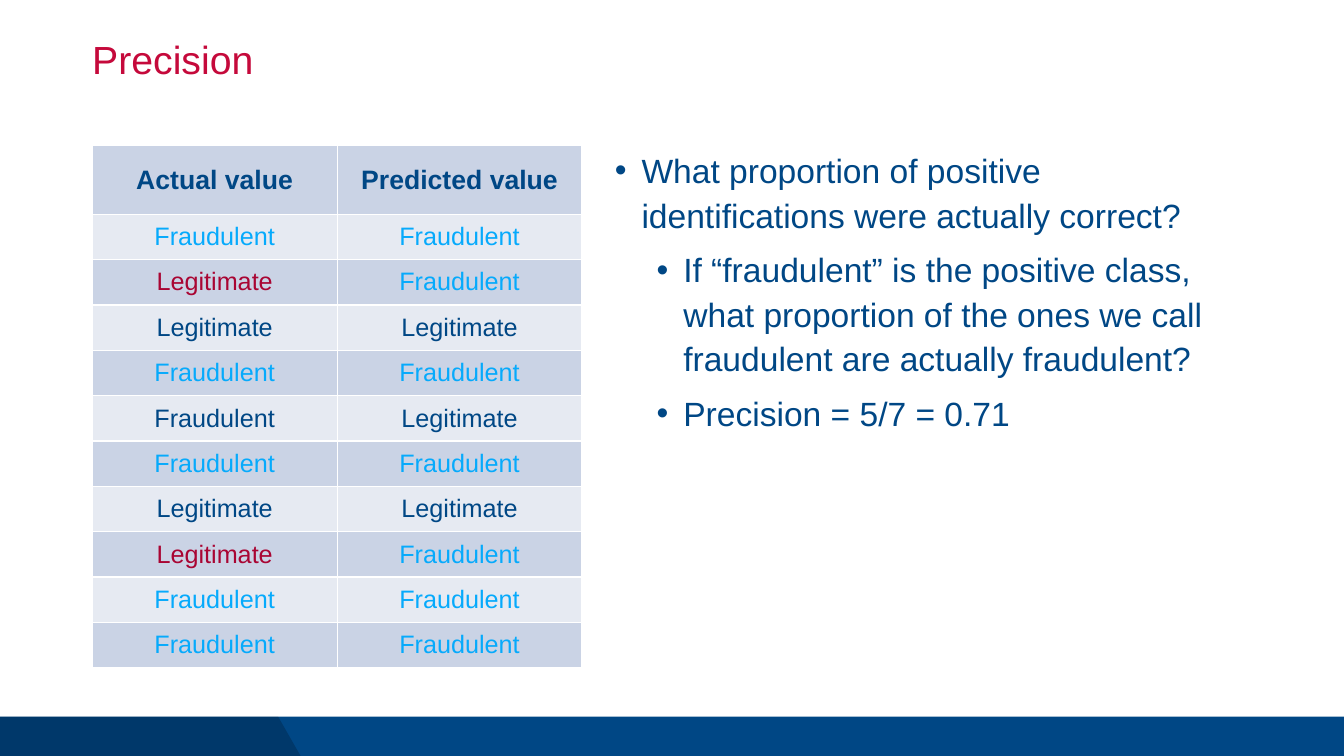
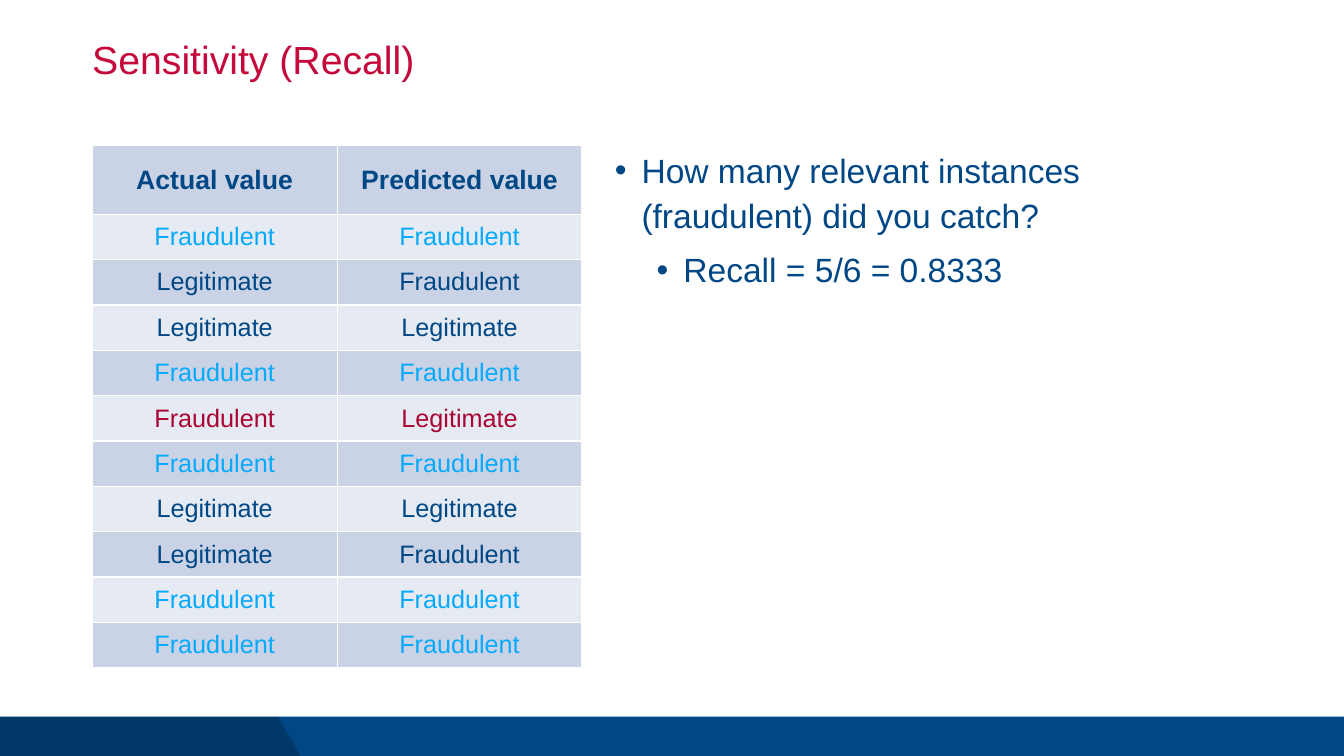
from dataclasses import dataclass

from pptx import Presentation
from pptx.dml.color import RGBColor
from pptx.enum.shapes import MSO_SHAPE
from pptx.enum.text import MSO_ANCHOR, MSO_AUTO_SIZE, PP_ALIGN
from pptx.oxml.ns import qn
from pptx.util import Inches, Pt
from lxml.etree import SubElement

NAVY = "004785"
CRIMSON = "C5093B"
HIT = "06AAFC"
MISS = "A90533"
BLACK = "000000"
WHITE = "FFFFFF"
ROW_DARK = "CAD3E5"
ROW_LIGHT = "E6EAF2"
FONT = "Arial"

SLIDE_WIDTH, SLIDE_HEIGHT = 26.67, 15
FOOTER_TOP, FOOTER_HEIGHT = 14.22, 0.84
MARGIN_LEFT = 1.83
COLUMN_WIDTH = 4.86
HEADER_HEIGHT, ROW_HEIGHT = 1.36, 0.9

FRAUD = "Fraudulent"
LEGIT = "Legitimate"
HEADERS = ("Actual value", "Predicted value")
OUTCOMES = [
    (FRAUD, FRAUD),
    (LEGIT, FRAUD),
    (LEGIT, LEGIT),
    (FRAUD, FRAUD),
    (FRAUD, LEGIT),
    (FRAUD, FRAUD),
    (LEGIT, LEGIT),
    (LEGIT, FRAUD),
    (FRAUD, FRAUD),
    (FRAUD, FRAUD),
]


@dataclass(frozen=True)
class Bullet:
    text: str
    level: int = 1


@dataclass(frozen=True)
class MetricSlide:
    title: str
    bullets: list[Bullet]
    highlights: dict[tuple[str, str], tuple[str, str]]


METRICS = [
    MetricSlide(
        "Precision",
        [
            Bullet("What proportion of positive identifications were actually correct?", 0),
            Bullet("If “fraudulent” is the positive class, what proportion of the ones "
                   "we call fraudulent are actually fraudulent?"),
            Bullet("Precision = 5/7 = 0.71"),
        ],
        {(FRAUD, FRAUD): (HIT, HIT), (LEGIT, FRAUD): (MISS, HIT)},
    ),
    MetricSlide(
        "Sensitivity (Recall)",
        [
            Bullet("How many relevant instances (fraudulent) did you catch?", 0),
            Bullet("Recall = 5/6 = 0.8333"),
        ],
        {(FRAUD, FRAUD): (HIT, HIT), (FRAUD, LEGIT): (MISS, MISS)},
    ),
]


def rgb(color: str) -> RGBColor:
    return RGBColor.from_string(color)


def format_runs(paragraph, size: float, color: str, bold: bool = False) -> None:
    for run in paragraph.runs:
        run.font.name = FONT
        run.font.size = Pt(size)
        run.font.bold = bold
        run.font.color.rgb = rgb(color)


def paint(shape, color: str) -> None:
    shape.shadow.inherit = False
    shape.fill.solid()
    shape.fill.fore_color.rgb = rgb(color)
    shape.line.fill.background()


def place(placeholder, left: float, top: float, width: float, height: float) -> None:
    placeholder.left, placeholder.top = Inches(left), Inches(top)
    placeholder.width, placeholder.height = Inches(width), Inches(height)
    frame = placeholder.text_frame
    frame.margin_left = frame.margin_right = frame.margin_top = frame.margin_bottom = 0
    frame.vertical_anchor = MSO_ANCHOR.TOP
    frame.auto_size = MSO_AUTO_SIZE.NONE
    frame.word_wrap = True


def add_footer(slide) -> None:
    band = slide.shapes.add_shape(
        MSO_SHAPE.RECTANGLE, 0, Inches(FOOTER_TOP), Inches(SLIDE_WIDTH), Inches(FOOTER_HEIGHT))
    paint(band, NAVY)
    bottom = FOOTER_TOP + FOOTER_HEIGHT
    builder = slide.shapes.build_freeform(0, Inches(FOOTER_TOP))
    builder.add_line_segments([
        (Inches(5.52), Inches(FOOTER_TOP)),
        (Inches(6), Inches(bottom)),
        (0, Inches(bottom)),
    ])
    wedge = builder.convert_to_shape()
    paint(wedge, BLACK)
    fill_color = wedge._element.spPr.find(qn("a:solidFill")).find(qn("a:srgbClr"))
    SubElement(fill_color, qn("a:alpha"), val="20000")


def add_title(slide, text: str) -> None:
    title = slide.shapes.title
    place(title, MARGIN_LEFT, 0.8, 23, 1.05)
    title.text_frame.text = text
    paragraph = title.text_frame.paragraphs[0]
    paragraph.alignment = PP_ALIGN.LEFT
    paragraph.line_spacing = 0.9
    format_runs(paragraph, 56, CRIMSON)


def add_bullets(slide, bullets: list[Bullet]) -> None:
    body = slide.placeholders[1]
    place(body, 12.2, 2.9, 12.63, 10.36)
    frame = body.text_frame
    frame.text = "\n".join(bullet.text for bullet in bullets)
    for paragraph, bullet in zip(frame.paragraphs, bullets):
        paragraph.level = bullet.level
        paragraph.line_spacing = 1.1
        paragraph.space_before = Pt(15 if bullet.level else 30)
        properties = paragraph._p.get_or_add_pPr()
        properties.set("marL", str(Inches(1.36 if bullet.level else 0.53)))
        properties.set("indent", str(Inches(-0.53)))
        SubElement(properties, qn("a:buChar"), char="•")
        format_runs(paragraph, 48, NAVY)


def add_borders(cell) -> None:
    properties = cell._tc.get_or_add_tcPr()
    for side in ("lnL", "lnR", "lnT", "lnB"):
        line = SubElement(properties, qn(f"a:{side}"), w=str(Pt(2)))
        fill = SubElement(line, qn("a:solidFill"))
        SubElement(fill, qn("a:srgbClr"), val=WHITE)


def fill_cell(cell, text: str, size: float, color: str, background: str, bold: bool) -> None:
    add_borders(cell)
    cell.fill.solid()
    cell.fill.fore_color.rgb = rgb(background)
    cell.vertical_anchor = MSO_ANCHOR.MIDDLE
    cell.margin_left = cell.margin_right = cell.margin_top = cell.margin_bottom = Inches(0.1)
    cell.text_frame.text = text
    paragraph = cell.text_frame.paragraphs[0]
    paragraph.alignment = PP_ALIGN.CENTER
    format_runs(paragraph, size, color, bold)


def add_outcome_table(slide, highlights: dict[tuple[str, str], tuple[str, str]]) -> None:
    rows = [HEADERS, *OUTCOMES]
    table = slide.shapes.add_table(
        len(rows), len(HEADERS), Inches(MARGIN_LEFT), Inches(2.89),
        Inches(COLUMN_WIDTH * len(HEADERS)),
        Inches(HEADER_HEIGHT + ROW_HEIGHT * len(OUTCOMES))).table
    for column in table.columns:
        column.width = Inches(COLUMN_WIDTH)
    for row_index, values in enumerate(rows):
        is_header = row_index == 0
        table.rows[row_index].height = Inches(HEADER_HEIGHT if is_header else ROW_HEIGHT)
        colors = highlights.get(values, (NAVY, NAVY))
        background = ROW_LIGHT if row_index % 2 else ROW_DARK
        for column_index, (value, color) in enumerate(zip(values, colors)):
            fill_cell(table.cell(row_index, column_index), value,
                      38 if is_header else 36, color, background, is_header)


def main() -> None:
    presentation = Presentation()
    presentation.slide_width = Inches(SLIDE_WIDTH)
    presentation.slide_height = Inches(SLIDE_HEIGHT)
    for metric in METRICS:
        slide = presentation.slides.add_slide(presentation.slide_layouts[1])
        add_footer(slide)
        add_title(slide, metric.title)
        add_outcome_table(slide, metric.highlights)
        add_bullets(slide, metric.bullets)
    presentation.save("out.pptx")


if __name__ == "__main__":
    main()
